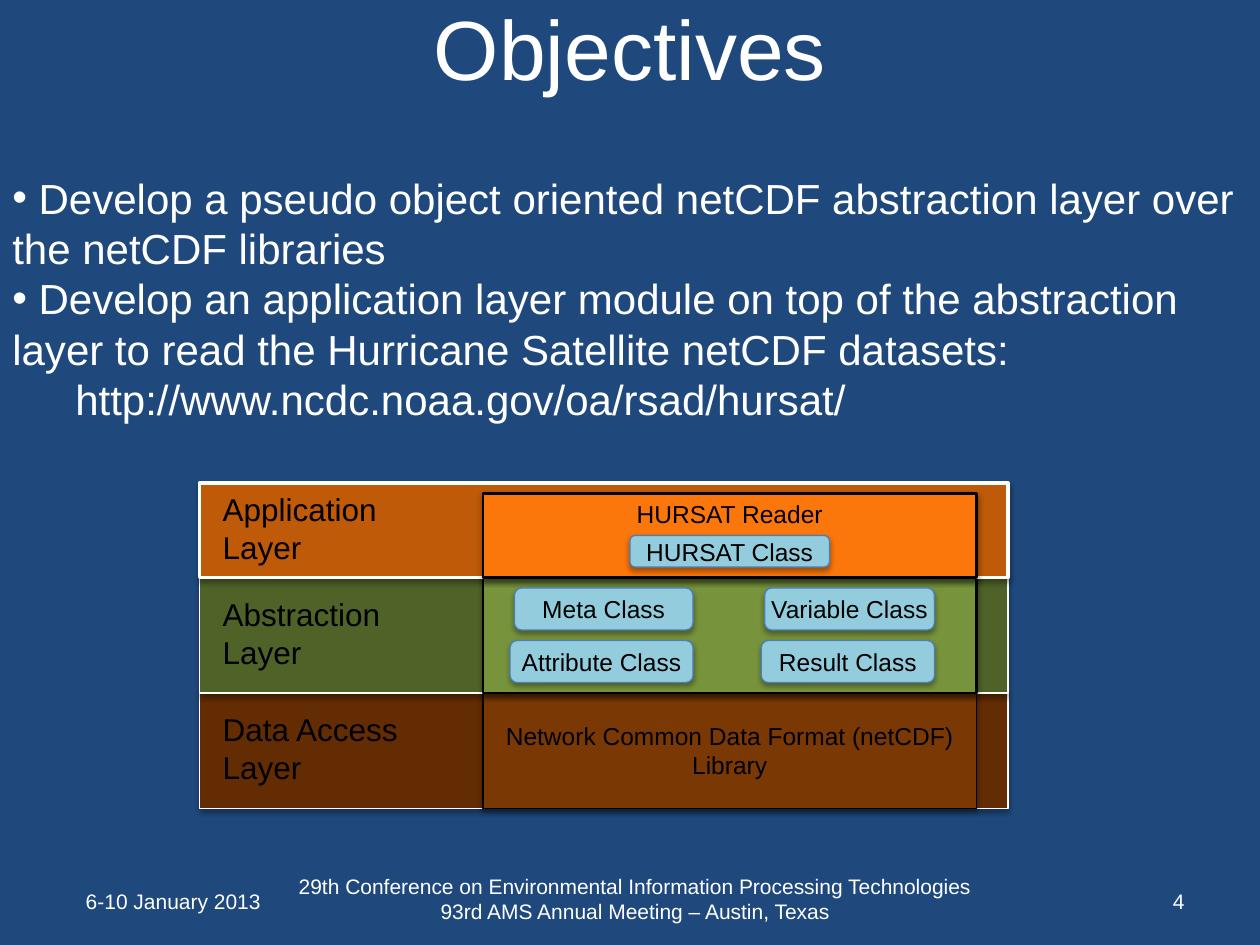
from lxml.etree import SubElement
from pptx import Presentation
from pptx.dml.color import RGBColor
from pptx.enum.shapes import MSO_SHAPE
from pptx.enum.text import MSO_ANCHOR, PP_ALIGN
from pptx.oxml.ns import qn
from pptx.util import Pt

COLORS = {
    "background": "1F497D", "white": "FFFFFF", "black": "000000",
    "application": "BE5A08", "reader": "FB760B",
    "abstraction": "4F6228", "classes": "77933C",
    "data": "632C02", "library": "7A3804",
    "class": "93CDDD", "class line": "4B7EBC",
}
LEFT, CENTER, RIGHT = PP_ALIGN.LEFT, PP_ALIGN.CENTER, PP_ALIGN.RIGHT


def write(shape, text, size, color, align, anchor=MSO_ANCHOR.MIDDLE):
    """Put wrapped Arial text into a shape and return its text frame."""
    frame = shape.text_frame
    frame.word_wrap = True
    frame.vertical_anchor = anchor
    frame.text = text
    for para in frame.paragraphs:
        para.alignment = align
        for span in para.runs:
            span.font.name = "Arial"
            span.font.size = Pt(size)
            span.font.color.rgb = RGBColor.from_string(COLORS[color])
    return frame


def add_block(kind, bounds, fill, line, weight):
    """Draw a filled, outlined shape with a soft shadow below it."""
    block = page.shapes.add_shape(kind, *map(Pt, bounds))
    block.fill.solid()
    block.fill.fore_color.rgb = RGBColor.from_string(COLORS[fill])
    block.line.color.rgb = RGBColor.from_string(COLORS[line])
    block.line.width = Pt(weight)
    block.shadow.inherit = False
    effects = block.element.spPr.find(qn("a:effectLst"))
    shadow = SubElement(effects, qn("a:outerShdw"), blurRad=str(Pt(3.1)),
                        dist=str(Pt(1.8)), dir="5400000", rotWithShape="0")
    tone = SubElement(shadow, qn("a:srgbClr"), val=COLORS["black"])
    SubElement(tone, qn("a:alpha"), val="35000")
    return block


deck = Presentation()
deck.slide_width, deck.slide_height = Pt(720), Pt(540)
page = deck.slides.add_slide(deck.slide_layouts[6])
page.background.fill.solid()
page.background.fill.fore_color.rgb = RGBColor.from_string(COLORS["background"])

# Title and footer
conference = ("29th Conference on Environmental Information Processing Technologies\n"
              "93rd AMS Annual Meeting – Austin, Texas")
for text, bounds, size, align in [
    ("Objectives", (0, 0, 720, 54), 48, CENTER),
    ("6-10 January 2013", (36, 500.5, 126, 28.75), 12, CENTER),
    (conference, (138, 498, 450, 31), 12, CENTER),
    ("4", (516, 500.5, 168, 28.75), 12, RIGHT),
]:
    box = page.shapes.add_textbox(*map(Pt, bounds))
    write(box, text, size, "white", align)

# Objectives
objectives = [
    " Develop a pseudo object oriented netCDF abstraction layer over the netCDF libraries",
    " Develop an application layer module on top of the abstraction layer to read "
    "the Hurricane Satellite netCDF datasets:\v\thttp://www.ncdc.noaa.gov/oa/rsad/hursat/",
]
box = page.shapes.add_textbox(Pt(0), Pt(66), Pt(720), Pt(211))
frame = write(box, "\n".join(objectives), 24, "white", LEFT, MSO_ANCHOR.TOP)
frame.margin_top = Pt(32.4)
for para in frame.paragraphs:
    properties = para._p.get_or_add_pPr()
    SubElement(properties, qn("a:buFont"), typeface="Arial")
    SubElement(properties, qn("a:buChar"), char="•")

# Layers, from the lowest up: name, top, height, fill, line, weight,
# then the panel's text, top, fill, weight
layers = [
    ("Data Access\nLayer", 396, 66, "data", 0.75,
     "Network Common Data Format (netCDF) Library", 396, "library", 1),
    ("Abstraction\nLayer", 330, 66, "abstraction", 0.75, "", 330, "classes", 1.5),
    ("Application\nLayer", 276, 54, "application", 2, "HURSAT Reader", 282, "reader", 1.5),
]
for name, top, height, fill, weight, label, panel_top, panel_fill, panel_weight in layers:
    band = add_block(MSO_SHAPE.RECTANGLE, (114, top, 462, height), fill, "white", weight)
    frame = write(band, name, 18, "black", LEFT)
    frame.margin_left, frame.margin_bottom = Pt(13.2), Pt(6.6)
    panel = add_block(MSO_SHAPE.RECTANGLE, (276, panel_top, 282, top + height - panel_top),
                      panel_fill, "black", panel_weight)
    anchor = MSO_ANCHOR.TOP if panel_fill == "reader" else MSO_ANCHOR.MIDDLE
    write(panel, label, 14, "black", CENTER, anchor).margin_top = Pt(3)

# Classes
for name, left, top, width, height in [
    ("HURSAT Class", 360, 306, 114, 18),
    ("Meta Class", 294, 336, 102, 24),
    ("Variable Class", 437, 336, 97, 24),
    ("Attribute Class", 291.5, 366, 104.5, 24),
    ("Result Class", 435, 366, 99, 24),
]:
    block = add_block(MSO_SHAPE.ROUNDED_RECTANGLE, (left, top, width, height),
                      "class", "class line", 0.75)
    frame = write(block, name, 14, "black", CENTER)
    frame.margin_left = frame.margin_right = frame.margin_top = frame.margin_bottom = 0

deck.save("out.pptx")
